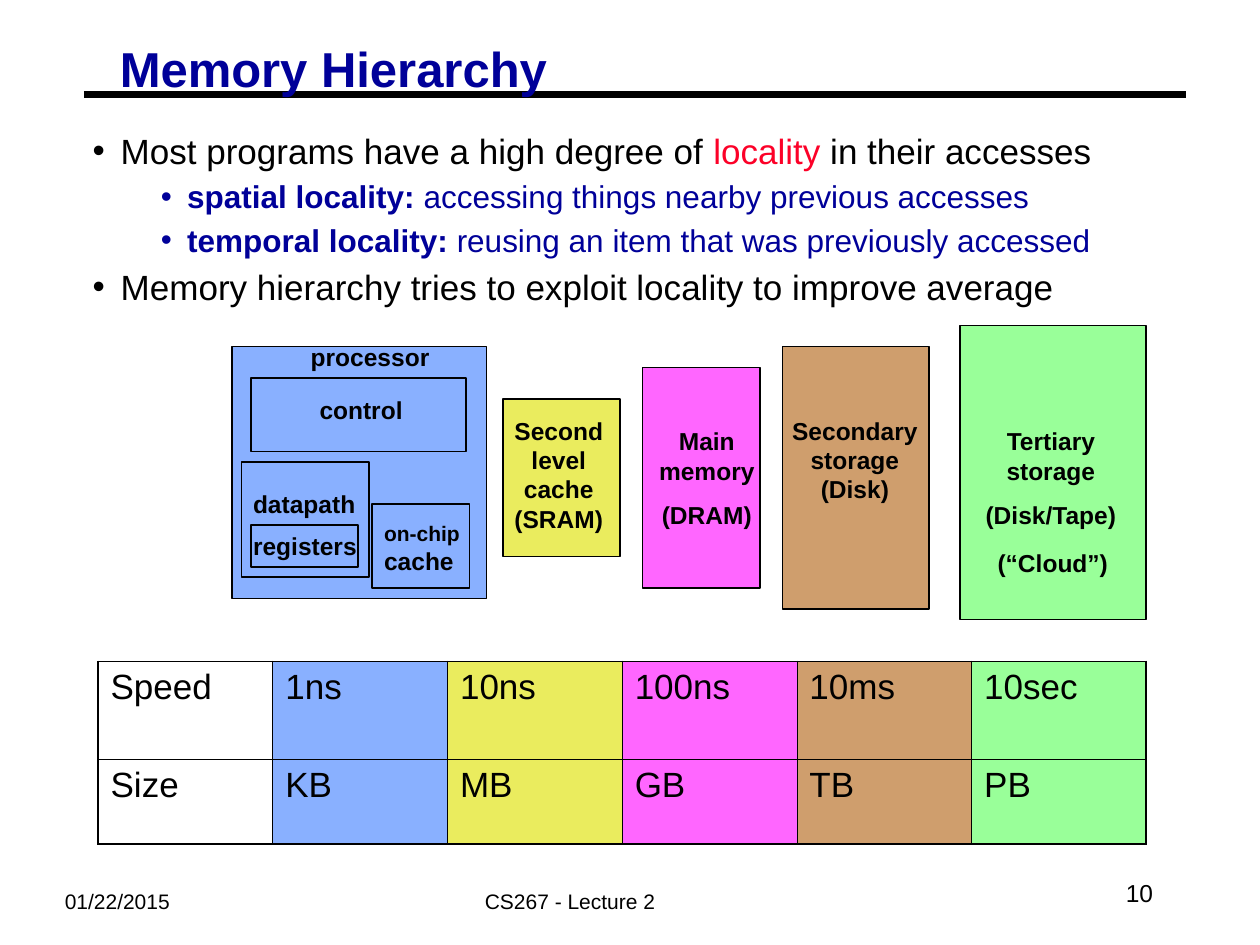
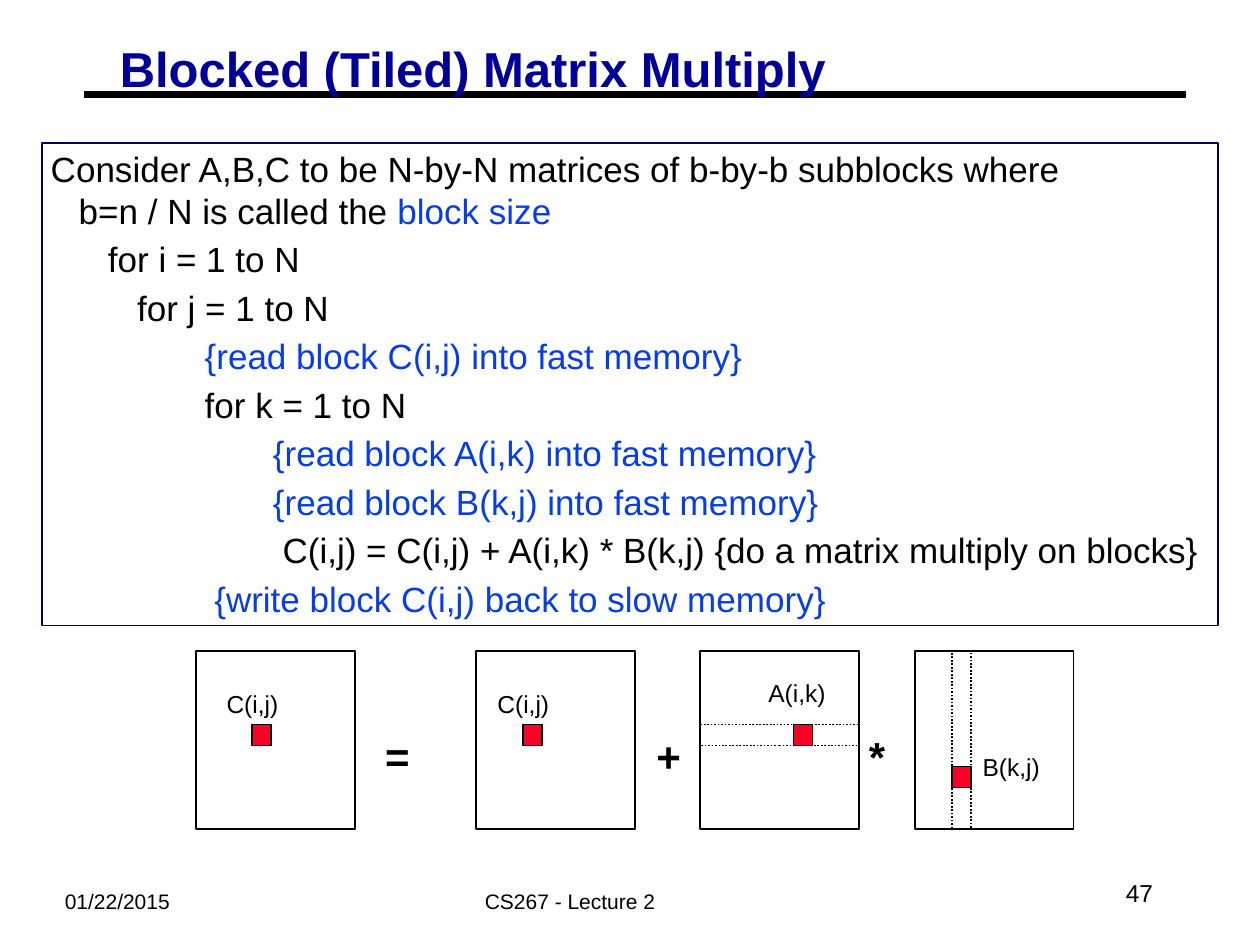
from lxml.etree import SubElement
from pptx import Presentation
from pptx.dml.color import RGBColor
from pptx.enum.dml import MSO_LINE
from pptx.enum.shapes import MSO_CONNECTOR, MSO_SHAPE
from pptx.enum.text import MSO_ANCHOR, PP_ALIGN
from pptx.oxml.ns import qn
from pptx.util import Pt

FONT = "Arial"
BLACK, NAVY, FRAME, RED, CODE_BLUE = "000000", "000099", "000066", "FC0128", "063DE8"
BLUE, YELLOW, PINK, BROWN, GREEN = "89B0FF", "EAEC5E", "FF66FF", "CF9E6D", "99FF99"
WIDE_INSET, SLIM_INSET = (7.2, 3.6), (5, 2.4)


def rgb(color):
    return RGBColor.from_string(color)


class Deck:
    """Holds the presentation, its shared style and the slide being built."""

    def __init__(self):
        self.prs = Presentation()
        self.prs.slide_width, self.prs.slide_height = Pt(720), Pt(540)
        self.s = None

    def new_slide(self, title, number):
        self.s = self.prs.slides.add_slide(self.prs.slide_layouts[6])
        self.rule(48, 54, 678)
        self.text(30, 504, 138, 22, "01/22/2015", size=12)
        self.text(270, 504, 138, 22, "CS267 - Lecture 2", size=12)
        self.text(516, 492, 150, 36, str(number), align=PP_ALIGN.RIGHT,
                  anchor=MSO_ANCHOR.MIDDLE)
        tf = self.text(63.5, 24, 560, 34.5, title, size=28, color=NAVY,
                       bold=True, inset=SLIM_INSET)
        tf.paragraphs[0].line_spacing = 0.87

    def rule(self, left, top, right):
        line = self.s.shapes.add_connector(
            MSO_CONNECTOR.STRAIGHT, Pt(left), Pt(top), Pt(right), Pt(top))
        line.line.color.rgb = rgb(BLACK)
        line.line.width = Pt(3.75)
        SubElement(line._element.spPr, qn("a:effectLst"))

    def rect(self, left, top, width, height, fill=None, line=BLACK, weight=1,
             dotted=False):
        sp = self.s.shapes.add_shape(
            MSO_SHAPE.RECTANGLE, Pt(left), Pt(top), Pt(width), Pt(height))
        sp.shadow.inherit = False
        if fill:
            sp.fill.solid()
            sp.fill.fore_color.rgb = rgb(fill)
        else:
            sp.fill.background()
        sp.line.color.rgb = rgb(line)
        sp.line.width = Pt(weight)
        if dotted:
            sp.line.dash_style = MSO_LINE.ROUND_DOT
        return sp

    def frame(self, tf, inset, anchor=MSO_ANCHOR.TOP):
        tf.word_wrap = True
        tf.vertical_anchor = anchor
        tf.margin_left = tf.margin_right = Pt(inset[0])
        tf.margin_top = tf.margin_bottom = Pt(inset[1])

    def run(self, p, text, size=14, color=BLACK, bold=False):
        r = p.add_run()
        r.text = text
        r.font.name, r.font.size, r.font.bold = FONT, Pt(size), bold
        r.font.color.rgb = rgb(color)

    def paragraph(self, tf, before=0, align=PP_ALIGN.LEFT, margin=0, indent=0,
                  bullet=None):
        """Add a paragraph, using the empty first one; bullet is its colour."""
        first = tf.paragraphs[0]
        p = tf.add_paragraph() if first.runs else first
        p.alignment = align
        p.space_before = Pt(before)
        pPr = p._p.get_or_add_pPr()
        pPr.set("marL", str(Pt(margin)))
        pPr.set("indent", str(Pt(indent)))
        if bullet:
            SubElement(SubElement(pPr, qn("a:buClr")), qn("a:srgbClr"), val=bullet)
            SubElement(pPr, qn("a:buFont"), typeface=FONT)
            SubElement(pPr, qn("a:buChar"), char="•")
        return p

    def text(self, left, top, width, height, *lines, align=PP_ALIGN.LEFT,
             before=0, inset=WIDE_INSET, anchor=MSO_ANCHOR.TOP, **font):
        """Add a text box with one paragraph for each line."""
        box = self.s.shapes.add_textbox(Pt(left), Pt(top), Pt(width), Pt(height))
        tf = box.text_frame
        self.frame(tf, inset, anchor)
        for line in lines:
            self.run(self.paragraph(tf, before, align), line, **font)
        return tf

    def table(self, left, top, col_width, row_heights, rows, fills):
        """Add a table with thin inner and thick outer borders."""
        n_rows, n_cols = len(rows), len(fills)
        table = self.s.shapes.add_table(
            n_rows, n_cols, Pt(left), Pt(top), Pt(col_width * n_cols),
            Pt(sum(row_heights))).table
        table.first_row = table.horz_banding = False
        for col in table.columns:
            col.width = Pt(col_width)
        for i, (values, height) in enumerate(zip(rows, row_heights)):
            table.rows[i].height = Pt(height)
            for j, (value, fill) in enumerate(zip(values, fills)):
                cell = table.cell(i, j)
                outer = {"lnL": j == 0, "lnR": j == n_cols - 1,
                         "lnT": i == 0, "lnB": i == n_rows - 1}
                self.borders(cell, outer)
                if fill:
                    cell.fill.solid()
                    cell.fill.fore_color.rgb = rgb(fill)
                else:
                    cell.fill.background()
                self.run(self.paragraph(cell.text_frame, 3.7), value, size=20)

    def borders(self, cell, outer):
        tcPr = cell._tc.get_or_add_tcPr()
        for side, is_outer in outer.items():
            ln = SubElement(tcPr, qn(f"a:{side}"), w=str(Pt(1.08 if is_outer else 0.45)))
            SubElement(SubElement(ln, qn("a:solidFill")), qn("a:srgbClr"), val=BLACK)


def memory_hierarchy(deck):
    deck.new_slide("Memory Hierarchy", 10)

    tf = deck.text(48, 71.5, 630, 106.5, inset=SLIM_INSET)
    top_level = dict(before=3.7, margin=16, indent=-16, bullet=BLACK)
    p = deck.paragraph(tf, **top_level)
    deck.run(p, "Most programs have a high degree of ", 20)
    deck.run(p, "locality", 20, RED)
    deck.run(p, " in their accesses", 20)
    for term, meaning in (
            ("spatial locality:", " accessing things nearby previous accesses"),
            ("temporal locality:", " reusing an item that was previously accessed")):
        p = deck.paragraph(tf, 3.4, margin=54, indent=-15, bullet=NAVY)
        deck.run(p, term, 18, NAVY, True)
        deck.run(p, meaning, 18, NAVY)
    p = deck.paragraph(tf, **top_level)
    deck.run(p, "Memory hierarchy tries to exploit locality to improve average", 20)

    deck.rect(132.5, 198, 145.5, 144, BLUE)
    for part in ((143.3, 216, 123, 42), (143.3, 300, 61.5, 24),
                 (212.4, 288, 56, 48), (138, 264, 72.8, 66)):
        deck.rect(*part)
    p = deck.paragraph(deck.text(212.4, 294, 61.2, 39))
    deck.run(p, "on-chip ", 12, bold=True)
    deck.run(p, "cache", bold=True)
    for name, left, top, width in (
            ("registers", 137.5, 300, 82), ("datapath", 137.5, 276, 82),
            ("control", 175.5, 222, 82), ("processor", 170.5, 192, 92),
            ("(“Cloud”)", 563, 309.6, 88)):
        box_text = (left, top, width, 24.5, name)
        if name.startswith("("):
            continue
        deck.text(*box_text, bold=True)

    for fill, box, label, lines in (
            (YELLOW, (287.3, 228, 67, 90), (281.5, 234, 75.6),
             ["Second level cache (SRAM)"]),
            (PINK, (367.2, 210, 67.2, 126), (367.2, 240, 73.4),
             ["Main memory", "(DRAM)"]),
            (BROWN, (447.2, 198, 83.8, 150), (443.5, 234, 90),
             ["Secondary storage (Disk)"]),
            (GREEN, (548.5, 186, 106.3, 168), (551.5, 240, 98),
             ["Tertiary storage", "(Disk/Tape)"])):
        deck.rect(*box, fill)
        deck.text(*label, 66, *lines, align=PP_ALIGN.CENTER, before=8.8, bold=True)
    deck.text(563, 309.6, 88, 24.5, "(“Cloud”)", bold=True)

    deck.table(56, 378, 99.84, (55.8, 48.6),
               [("Speed", "1ns", "10ns", "100ns", "10ms", "10sec"),
                ("Size", "KB", "MB", "GB", "TB", "PB")],
               (None, BLUE, YELLOW, PINK, BROWN, GREEN))


def blocked_multiply(deck):
    deck.new_slide("Blocked (Tiled) Matrix Multiply", 47)

    tf = deck.rect(24, 81.7, 672, 275.8, line=FRAME, weight=0.75).text_frame
    deck.frame(tf, SLIM_INSET)
    p = deck.paragraph(tf, 3.7, margin=16, indent=-16)
    deck.run(p, "Consider A,B,C to be N-by-N matrices of b-by-b subblocks where", 20)
    p.add_line_break()
    deck.run(p, "b=n / N is called the ", 20)
    deck.run(p, "block size", 20, CODE_BLUE)
    for margin, code, color in (
            (32.7, "for i = 1 to N", BLACK),
            (49.4, "for j = 1 to N", BLACK),
            (88, "{read block C(i,j) into fast memory}", CODE_BLUE),
            (88, "for k = 1 to N", BLACK),
            (127, "{read block A(i,k) into fast memory}", CODE_BLUE),
            (127, "{read block B(k,j) into fast memory}", CODE_BLUE),
            (132.5, "C(i,j) = C(i,j) + A(i,k) * B(k,j) {do a matrix multiply on blocks}",
             BLACK),
            (93.5, "{write block C(i,j) back to slow memory}", CODE_BLUE)):
        deck.run(deck.paragraph(tf, 3.7, margin=margin), code, 20, color)

    top, width, height = 372, 90.7, 102
    block_w, block_h = 10.8, 12
    deck.rect(400, 414, width, block_h, dotted=True)
    deck.rect(544, top, block_w, height, dotted=True)
    for left, block, label, name in (
            (112, (144, 414), (122.4, 390), "C(i,j)"),
            (272, (298.8, 414), (277.2, 390), "C(i,j)"),
            (400, (453.5, 414), (432, 384), "A(i,k)"),
            (522.7, (544, 438), (554.4, 426), "B(k,j)")):
        deck.rect(left, top, width, height)
        deck.rect(*block, block_w, block_h, RED)
        deck.text(*label, 53.3, 24.5, name)
    for left, sign in ((213, "="), (368, "+"), (489.5, "*")):
        deck.text(left, 414, 30, 36, sign, size=24, bold=True)


def main():
    deck = Deck()
    memory_hierarchy(deck)
    blocked_multiply(deck)
    deck.prs.save("out.pptx")


if __name__ == "__main__":
    main()
